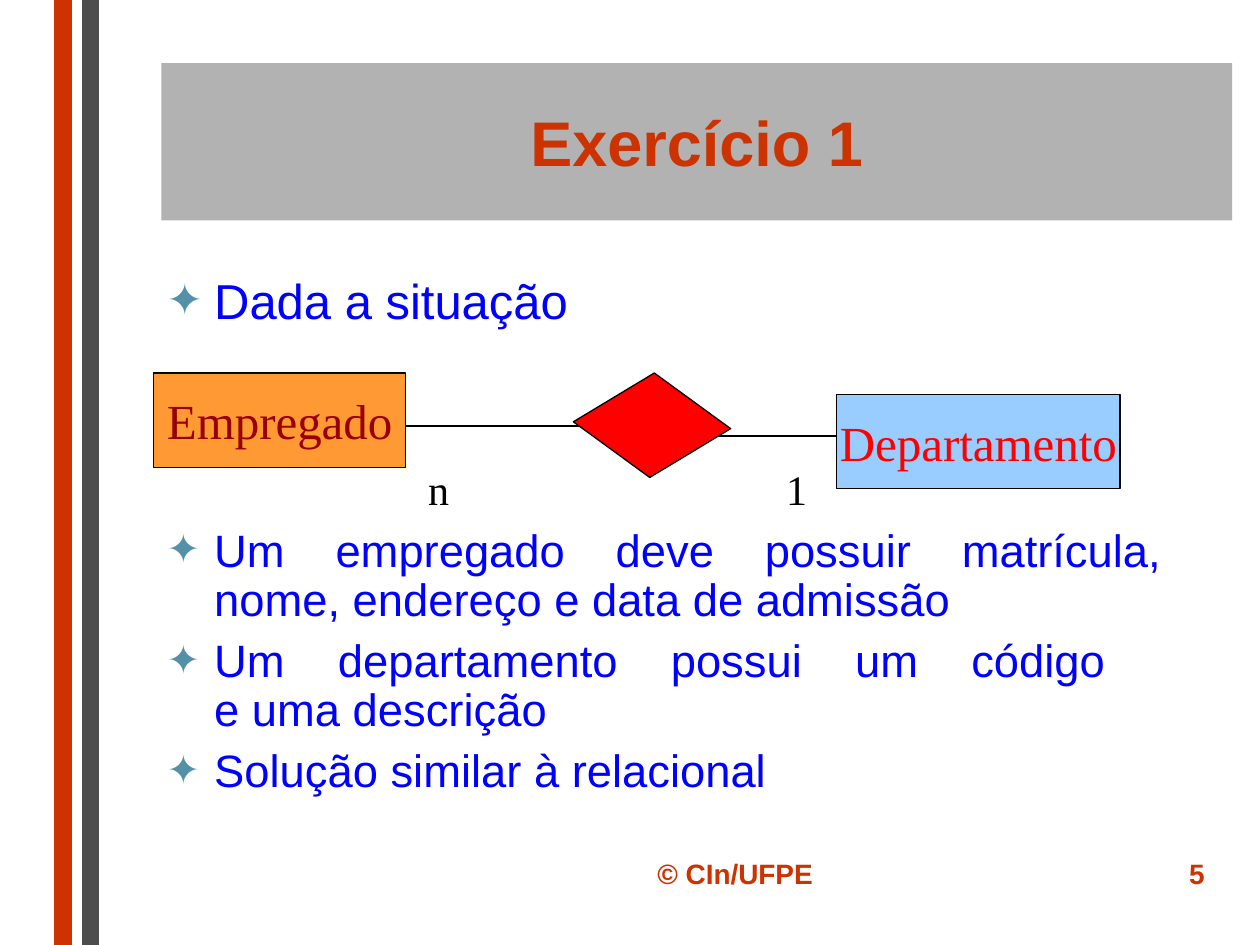
import pptx
import pptx.util
import pptx.dml.color
import pptx.enum.shapes
import pptx.enum.text
import pptx.oxml
import pptx.oxml.ns

Inches = pptx.util.Inches
Pt = pptx.util.Pt
ALIGN = pptx.enum.text.PP_ALIGN
ANCHOR = pptx.enum.text.MSO_ANCHOR
SHAPE = pptx.enum.shapes.MSO_SHAPE

COLORS = {
    "accent": "CC3300", "stripe": "4D4D4D", "band": "B2B2B2", "body": "0000FF",
    "bullet": "5490A8", "black": "000000", "diamond": "FF0000",
    "employee": "FF9933", "employee_text": "990000",
    "department": "99CCFF", "department_text": "FF0000",
}

TITLE = "Exercício 1"
LISTS = [
    (1, (1.22, 2.1, 8.5, 0.63), 28, 1, ["Dada a situação"]),
    (2, (1.22, 4.14, 8.5, 2.6), 25.9, 0.9, [
        "Um empregado deve possuir matrícula, \nnome, endereço e data de admissão",
        "Um departamento possui um código  \ne uma descrição",
        "Solução similar à relacional",
    ]),
]
LINES = [
    ((0.5, 0, 0.5, 7.5), "accent", 9.75),
    ((0.72, 0, 0.72, 7.5), "stripe", 9.75),
    ((5.47, 3.46, 7.47, 3.46), "black", 0.75),
    ((2.97, 3.38, 4.97, 3.38), "black", 0.75),
]
ENTITIES = [
    ("Empregado", (1.22, 2.96, 2, 0.75), "employee"),
    ("Departamento", (6.64, 3.13, 2.25, 0.75), "department"),
]
CARDINALITIES = [("n", 3.3), ("1", 6.14)]
FOOTERS = [
    ("© CIn/UFPE", (4.25, 6.75, 3.17, 0.5), ALIGN.CENTER),
    ("5", (7.58, 6.75, 2.08, 0.5), ALIGN.RIGHT),
]


def rgb(name):
    return pptx.dml.color.RGBColor.from_string(COLORS[name])


def place(shape, box):
    shape.left, shape.top, shape.width, shape.height = map(Inches, box)


def add_bullet(paragraph):
    properties = paragraph._p.get_or_add_pPr()
    properties.set("marL", str(Inches(0.38)))
    properties.set("indent", str(-Inches(0.38)))
    namespace = pptx.oxml.ns.nsdecls("a")
    for element in (
        f'<a:buClr {namespace}><a:srgbClr val="{COLORS["bullet"]}"/></a:buClr>',
        f'<a:buSzPct {namespace} val="90000"/>',
        f'<a:buChar {namespace} char="✦"/>',
    ):
        properties.append(pptx.oxml.parse_xml(element))


def write(shape, texts, size, color, font="Arial", bold=False, align=ALIGN.LEFT,
          anchor=ANCHOR.TOP, wrap=True, bullets=False, spacing=1):
    frame = shape.text_frame
    frame.auto_size = pptx.enum.text.MSO_AUTO_SIZE.NONE
    frame.word_wrap = wrap
    frame.vertical_anchor = anchor
    for index, text in enumerate(texts):
        paragraph = frame.add_paragraph() if index else frame.paragraphs[0]
        paragraph.text = text
        if bullets:
            add_bullet(paragraph)
        paragraph.alignment = align
        paragraph.line_spacing = spacing
        paragraph.space_before = Pt(7 if index else 0)
        for target in [paragraph, *paragraph.runs]:
            target.font.name = font
            target.font.size = Pt(size)
            target.font.bold = bold
            target.font.color.rgb = rgb(color)


def add_line(slide, ends, color, width):
    line = slide.shapes.add_connector(
        pptx.enum.shapes.MSO_CONNECTOR.STRAIGHT, *map(Inches, ends))
    line.line.color.rgb = rgb(color)
    line.line.width = Pt(width)
    line._element.spPr.append(
        pptx.oxml.parse_xml(f'<a:effectLst {pptx.oxml.ns.nsdecls("a")}/>'))


def add_figure(slide, kind, box, fill):
    shape = slide.shapes.add_shape(kind, *map(Inches, box))
    shape.shadow.inherit = False
    shape.fill.solid()
    shape.fill.fore_color.rgb = rgb(fill)
    shape.line.color.rgb = rgb("black")
    shape.line.width = Pt(0.75)
    return shape


def add_text(slide, text, box, size, color, **style):
    write(slide.shapes.add_textbox(*map(Inches, box)), [text], size, color, **style)


def main():
    presentation = pptx.Presentation()
    presentation.slide_width, presentation.slide_height = Inches(10), Inches(7.5)
    slide = presentation.slides.add_slide(
        presentation.slide_layouts.get_by_name("Two Content"))

    title = slide.shapes.title
    place(title, (1.28, 0.5, 8.5, 1.25))
    title.fill.solid()
    title.fill.fore_color.rgb = rgb("band")
    write(title, [TITLE], 36, "accent", bold=True, align=ALIGN.CENTER,
          anchor=ANCHOR.MIDDLE)

    for index, box, size, spacing, items in LISTS:
        body = slide.placeholders[index]
        place(body, box)
        write(body, items, size, "body", align=ALIGN.JUSTIFY, bullets=True,
              spacing=spacing)

    for ends, color, width in LINES:
        add_line(slide, ends, color, width)

    relationship = add_figure(slide, SHAPE.DIAMOND, (4.76, 2.75, 0.83, 1.25), "diamond")
    relationship.rotation = 92.5

    for text, left in CARDINALITIES:
        add_text(slide, text, (left, 3.63, 0.33, 0.5), 24, "black",
                 font="Times New Roman")

    for text, box, color in ENTITIES:
        entity = add_figure(slide, SHAPE.RECTANGLE, box, color)
        write(entity, [text], 28, color + "_text", font="Times New Roman",
              align=ALIGN.CENTER, anchor=ANCHOR.MIDDLE, wrap=False)

    for text, box, align in FOOTERS:
        add_text(slide, text, box, 16, "accent", bold=True, align=align)

    presentation.save("out.pptx")


if __name__ == "__main__":
    main()
